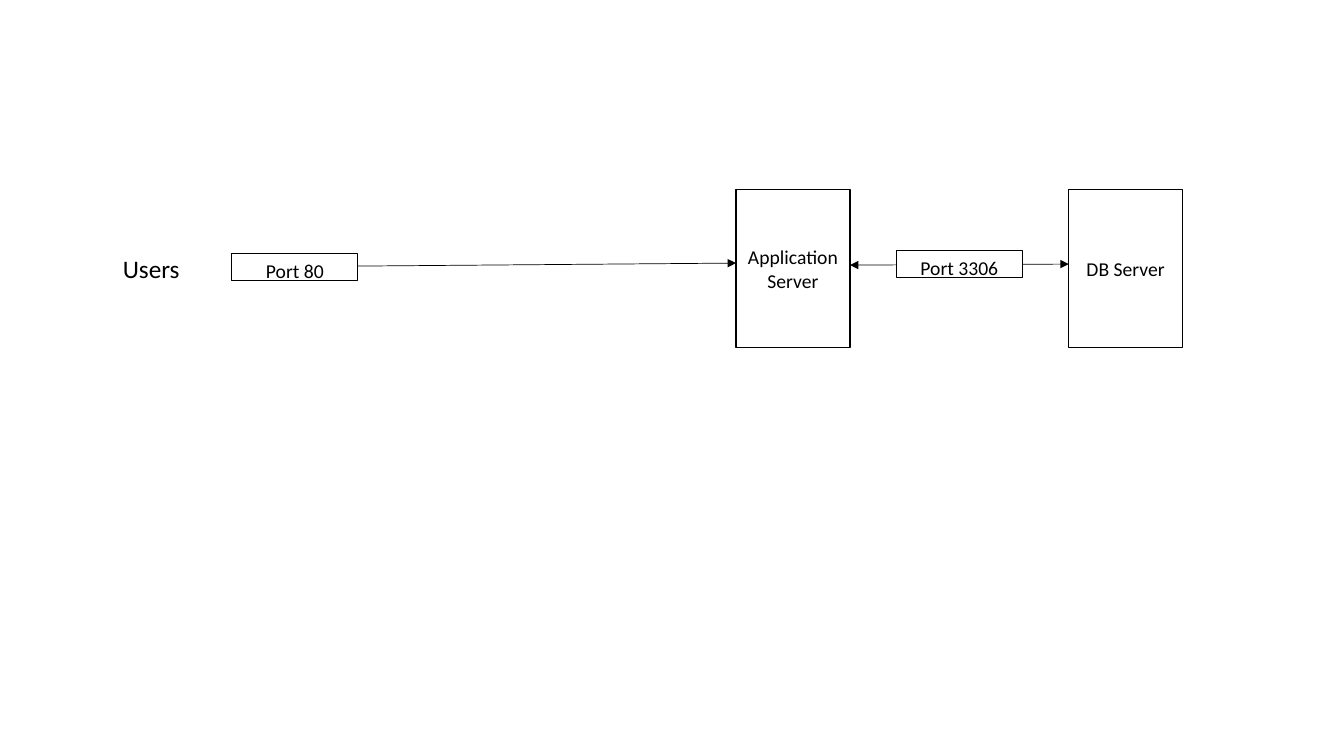
import dataclasses

import lxml.etree
import pptx
import pptx.dml.color
import pptx.enum.shapes
import pptx.enum.text
import pptx.oxml.ns
import pptx.slide
import pptx.text.text
import pptx.util
from pptx.util import Inches

BLACK = pptx.dml.color.RGBColor(0x00, 0x00, 0x00)
WHITE = pptx.dml.color.RGBColor(0xFF, 0xFF, 0xFF)
FONT = "Calibri"
MIDDLE = pptx.enum.text.MSO_ANCHOR.MIDDLE
TOP = pptx.enum.text.MSO_ANCHOR.TOP


@dataclasses.dataclass(frozen=True)
class BoxStyle:
    width: float
    height: float
    line_width: float
    anchor: pptx.enum.text.MSO_ANCHOR


@dataclasses.dataclass(frozen=True)
class Box:
    text: str
    left: float
    top: float
    style: BoxStyle

    @property
    def right(self) -> float:
        return self.left + self.style.width


@dataclasses.dataclass(frozen=True)
class Arrow:
    start: tuple[float, float]
    end: tuple[float, float]
    two_way: bool = False


SERVER = BoxStyle(1.13, 1.57, 1, MIDDLE)
PORT = BoxStyle(1.25, 0.26, 0.75, TOP)

application_server = Box("Application Server", 7.3, 1.88, SERVER)
database_server = Box("DB Server", 10.6, 1.88, SERVER)
web_port = Box("Port 80", 2.3, 2.52, PORT)
database_port = Box("Port 3306", 8.89, 2.49, PORT)

web_arrow = Arrow((web_port.right, 2.64), (application_server.left, 2.61))
database_arrow = Arrow(
    (application_server.right, 2.63), (database_server.left, 2.62), two_way=True
)


def write_text(frame: pptx.text.text.TextFrame, text: str, size: float) -> None:
    frame.text = text
    font = frame.paragraphs[0].font
    font.name = FONT
    font.size = pptx.util.Pt(size)
    font.color.rgb = BLACK


def draw_box(slide: pptx.slide.Slide, box: Box) -> None:
    shape = slide.shapes.add_shape(
        pptx.enum.shapes.MSO_SHAPE.RECTANGLE,
        Inches(box.left),
        Inches(box.top),
        Inches(box.style.width),
        Inches(box.style.height),
    )
    shape.shadow.inherit = False
    shape.fill.solid()
    shape.fill.fore_color.rgb = WHITE
    shape.line.color.rgb = BLACK
    shape.line.width = pptx.util.Pt(box.style.line_width)
    frame = shape.text_frame
    frame.word_wrap = True
    frame.vertical_anchor = box.style.anchor
    write_text(frame, box.text, 14)
    frame.paragraphs[0].alignment = pptx.enum.text.PP_ALIGN.CENTER


def draw_arrow(slide: pptx.slide.Slide, arrow: Arrow) -> None:
    connector = slide.shapes.add_connector(
        pptx.enum.shapes.MSO_CONNECTOR.STRAIGHT,
        *(Inches(value) for value in arrow.start + arrow.end),
    )
    connector.line.color.rgb = BLACK
    connector.line.width = pptx.util.Pt(0.5)
    line = connector.line._get_or_add_ln()
    for end in ("a:headEnd", "a:tailEnd") if arrow.two_way else ("a:tailEnd",):
        lxml.etree.SubElement(line, pptx.oxml.ns.qn(end), type="triangle")
    lxml.etree.SubElement(
        connector._element.spPr, pptx.oxml.ns.qn("a:effectLst")
    )


def draw_label(
    slide: pptx.slide.Slide, text: str, left: float, top: float
) -> None:
    label = slide.shapes.add_textbox(
        Inches(left), Inches(top), Inches(0.77), Inches(0.4)
    )
    frame = label.text_frame
    frame.word_wrap = False
    frame.auto_size = pptx.enum.text.MSO_AUTO_SIZE.SHAPE_TO_FIT_TEXT
    write_text(frame, text, 18)


presentation = pptx.Presentation()
presentation.slide_width = Inches(13.33)
presentation.slide_height = Inches(7.5)
slide = presentation.slides.add_slide(presentation.slide_layouts[6])

# Servers
for server in (application_server, database_server):
    draw_box(slide, server)

# Database traffic, with the port label over its arrow
draw_arrow(slide, database_arrow)
draw_box(slide, database_port)

# User traffic
draw_label(slide, "Users", 1.12, 2.46)
draw_arrow(slide, web_arrow)
draw_box(slide, web_port)

presentation.save("out.pptx")
